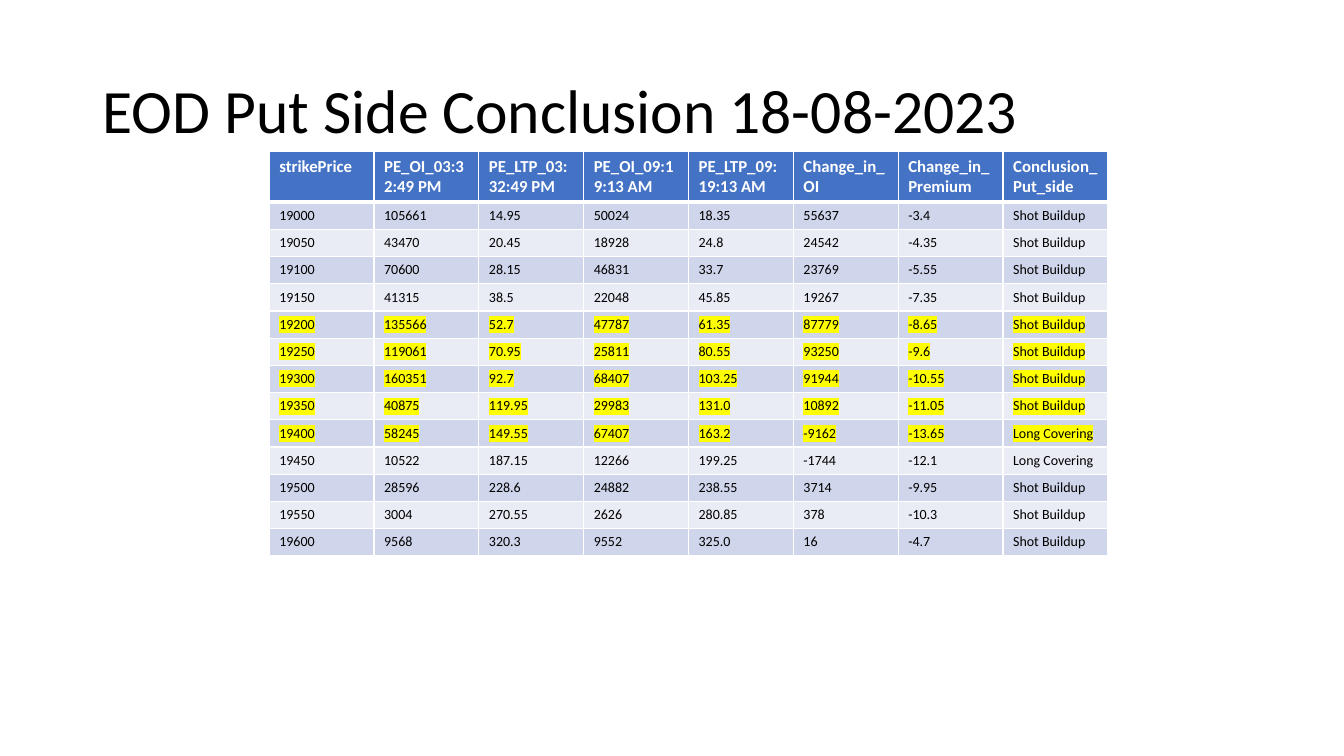
from lxml.etree import SubElement
from pptx import Presentation
from pptx.dml.color import RGBColor
from pptx.enum.text import MSO_ANCHOR, MSO_AUTO_SIZE, PP_ALIGN
from pptx.oxml.ns import qn
from pptx.util import Inches, Pt

TITLE = "EOD Put Side Conclusion 18-08-2023"
HEADER = ("strikePrice", "PE_OI_03:32:49 PM", "PE_LTP_03:32:49 PM", "PE_OI_09:19:13 AM",
          "PE_LTP_09:19:13 AM", "Change_in_OI", "Change_in_Premium", "Conclusion_Put_side")
STRIKES = [
    ("19000", "105661", "14.95", "50024", "18.35", "55637", "-3.4", "Shot Buildup"),
    ("19050", "43470", "20.45", "18928", "24.8", "24542", "-4.35", "Shot Buildup"),
    ("19100", "70600", "28.15", "46831", "33.7", "23769", "-5.55", "Shot Buildup"),
    ("19150", "41315", "38.5", "22048", "45.85", "19267", "-7.35", "Shot Buildup"),
    ("19200", "135566", "52.7", "47787", "61.35", "87779", "-8.65", "Shot Buildup"),
    ("19250", "119061", "70.95", "25811", "80.55", "93250", "-9.6", "Shot Buildup"),
    ("19300", "160351", "92.7", "68407", "103.25", "91944", "-10.55", "Shot Buildup"),
    ("19350", "40875", "119.95", "29983", "131.0", "10892", "-11.05", "Shot Buildup"),
    ("19400", "58245", "149.55", "67407", "163.2", "-9162", "-13.65", "Long Covering"),
    ("19450", "10522", "187.15", "12266", "199.25", "-1744", "-12.1", "Long Covering"),
    ("19500", "28596", "228.6", "24882", "238.55", "3714", "-9.95", "Shot Buildup"),
    ("19550", "3004", "270.55", "2626", "280.85", "378", "-10.3", "Shot Buildup"),
    ("19600", "9568", "320.3", "9552", "325.0", "16", "-4.7", "Shot Buildup"),
]
HIGHLIGHTED = {"19200", "19250", "19300", "19350", "19400"}

COLORS = {"text": "000000", "header": "4472C4", "header_text": "FFFFFF", "odd": "CFD5EA",
          "even": "E9EBF5", "border": "FFFFFF", "highlight": "FFFF00"}
TITLE_FONT = {"name": "Calibri", "size": Pt(44), "bold": False}
HEADER_FONT = {"name": "Calibri", "size": Pt(12), "bold": True}
STRIKE_FONT = {"name": "Calibri", "size": Pt(10), "bold": False}
COLUMN_WIDTH, HEADER_HEIGHT, STRIKE_HEIGHT = 1.04, 0.5, 0.27


def apply(target, values):
    for attribute, value in values.items():
        setattr(target, attribute, value)


def style_font(font, values, color):
    apply(font, values)
    font.color.rgb = RGBColor.from_string(COLORS[color])


def add_borders(cell, top, bottom):
    tc_pr = cell._tc.get_or_add_tcPr()
    for side, points in (("L", 1), ("R", 1), ("T", top), ("B", bottom)):
        line = SubElement(tc_pr, qn(f"a:ln{side}"), w=str(Pt(points)))
        SubElement(SubElement(line, qn("a:solidFill")), qn("a:srgbClr"), val=COLORS["border"])


def highlight(run):
    mark = run._r.makeelement(qn("a:highlight"), {})
    SubElement(mark, qn("a:srgbClr"), val=COLORS["highlight"])
    run._r.rPr.find(qn("a:solidFill")).addnext(mark)


prs = Presentation()
prs.slide_width, prs.slide_height = Inches(13.33), Inches(7.5)
slide = prs.slides.add_slide(prs.slide_layouts[5])

# Title
title = slide.shapes.title
apply(title, {"left": Inches(0.92), "top": Inches(0.4),
              "width": Inches(11.5), "height": Inches(1.45)})
title.text_frame.text = TITLE
apply(title.text_frame, {"vertical_anchor": MSO_ANCHOR.MIDDLE, "auto_size": MSO_AUTO_SIZE.NONE})
heading = title.text_frame.paragraphs[0]
apply(heading, {"alignment": PP_ALIGN.LEFT, "line_spacing": 0.9})
style_font(heading.runs[0].font, TITLE_FONT, "text")

# Option table
rows = [HEADER, *STRIKES]
table = slide.shapes.add_table(
    len(rows), len(HEADER), Inches(2.67), Inches(1.5), Inches(COLUMN_WIDTH * len(HEADER)),
    Inches(HEADER_HEIGHT + STRIKE_HEIGHT * len(STRIKES))).table
for column in table.columns:
    column.width = Inches(COLUMN_WIDTH)

for index, values in enumerate(rows):
    is_header = index == 0
    table.rows[index].height = Inches(HEADER_HEIGHT if is_header else STRIKE_HEIGHT)
    band = "header" if is_header else "odd" if index % 2 else "even"
    for cell, value in zip(table.rows[index].cells, values):
        add_borders(cell, top=3 if index == 1 else 1, bottom=3 if is_header else 1)
        cell.fill.solid()
        cell.fill.fore_color.rgb = RGBColor.from_string(COLORS[band])
        cell.text = value
        run = cell.text_frame.paragraphs[0].runs[0]
        style_font(run.font, HEADER_FONT if is_header else STRIKE_FONT,
                   "header_text" if is_header else "text")
        if values[0] in HIGHLIGHTED:
            highlight(run)

prs.save("out.pptx")
